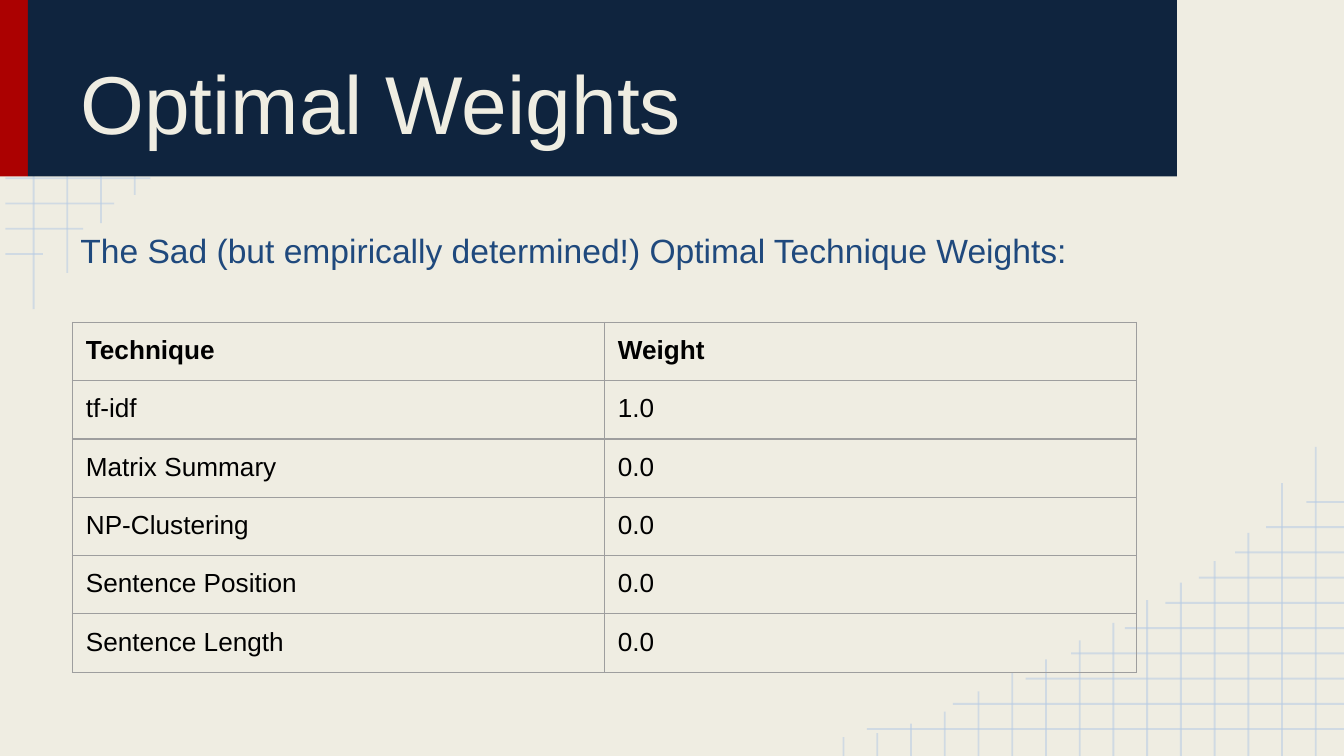
from pptx import Presentation
from pptx.dml.color import RGBColor
from pptx.enum.shapes import MSO_CONNECTOR, MSO_SHAPE
from pptx.enum.text import MSO_ANCHOR
from pptx.oxml.ns import qn
from pptx.util import Pt
from lxml.etree import SubElement

CREAM = RGBColor(0xEF, 0xED, 0xE2)
NAVY = RGBColor(0x0F, 0x24, 0x3E)
RED = RGBColor(0xAB, 0x01, 0x01)
BLUE = RGBColor(0x1F, 0x49, 0x7D)
PALE_BLUE = RGBColor(0xB7, 0xCC, 0xE4)
GRAY = RGBColor(0x9E, 0x9E, 0x9E)
BLACK = RGBColor(0, 0, 0)

SLIDE_WIDTH, SLIDE_HEIGHT = 720, 405
INSET = 7.2
GRID_LEFT, GRID_TOP = 2.9, 14.4
ROW_GAP, COLUMN_GAP = 13.52, 18.07
ROW_ENDS = [258.5, 212.4, 173.5, 149, 120.2, 98.6, 80.6, 61.2, 44.6, 23]
COLUMN_ENDS = [165.6, 146.2, 119.5, 104.4, 92.9, 83.5, 71.3, 61.9,
               51.8, 44.6, 34.6, 23.8, 17.3, 12.2, 10.1]

WEIGHTS = [
    ("Technique", "Weight"),
    ("tf-idf", "1.0"),
    ("Matrix Summary", "0.0"),
    ("NP-Clustering", "0.0"),
    ("Sentence Position", "0.0"),
    ("Sentence Length", "0.0"),
]


def write_text(frame, text, size, color, bold=False):
    run = frame.paragraphs[0].add_run()
    run.text = text
    run.font.name = "Arial"
    run.font.size = Pt(size)
    run.font.bold = bold
    run.font.color.rgb = color


def add_text(slide, left, top, width, height, text, anchor=MSO_ANCHOR.TOP,
             inset_top=INSET, **style):
    frame = slide.shapes.add_textbox(
        Pt(left), Pt(top), Pt(width), Pt(height)).text_frame
    frame.word_wrap = True
    frame.vertical_anchor = anchor
    frame.margin_left = frame.margin_right = frame.margin_bottom = Pt(INSET)
    frame.margin_top = Pt(inset_top)
    write_text(frame, text, **style)


def add_band(slide, left, width, color):
    band = slide.shapes.add_shape(
        MSO_SHAPE.RECTANGLE, Pt(left), Pt(-0.5), Pt(width), Pt(95))
    band.shadow.inherit = False
    band.fill.solid()
    band.fill.fore_color.rgb = color
    band.line.fill.background()


def add_grid_line(slide, start, end):
    grid_line = slide.shapes.add_connector(
        MSO_CONNECTOR.STRAIGHT, *map(Pt, start + end))
    grid_line.line.width = Pt(1)
    grid_line.line.color.rgb = PALE_BLUE
    properties = grid_line._element.spPr
    color = properties.find(".//" + qn("a:srgbClr"))
    SubElement(color, qn("a:alpha"), val="54000")
    SubElement(properties, qn("a:effectLst"))


def add_corner_grid(slide, place):
    for index, end in enumerate(ROW_ENDS):
        y = GRID_TOP + index * ROW_GAP
        add_grid_line(slide, place(GRID_LEFT, y), place(end, y))
    for index, end in enumerate(COLUMN_ENDS):
        x = 18 + index * COLUMN_GAP
        add_grid_line(slide, place(x, end), place(x, 0))


def add_cell_borders(cell):
    properties = cell._tc.get_or_add_tcPr()
    for position, side in enumerate(("a:lnL", "a:lnR", "a:lnT", "a:lnB")):
        border = properties.makeelement(qn(side), {"w": str(Pt(0.75))})
        fill = SubElement(border, qn("a:solidFill"))
        SubElement(fill, qn("a:srgbClr"), val=str(GRAY))
        properties.insert(position, border)


def add_weight_table(slide, left, top, column_width, row_height):
    table = slide.shapes.add_table(
        len(WEIGHTS), 2, Pt(left), Pt(top),
        Pt(2 * column_width), Pt(len(WEIGHTS) * row_height)).table
    table.horz_banding = False
    for row_index, row in enumerate(WEIGHTS):
        for column_index, text in enumerate(row):
            cell = table.cell(row_index, column_index)
            cell.fill.background()
            cell.margin_left = cell.margin_right = Pt(INSET)
            cell.margin_top = cell.margin_bottom = Pt(INSET)
            write_text(cell.text_frame, text, size=14, color=BLACK,
                       bold=row_index == 0)
            add_cell_borders(cell)


def main():
    presentation = Presentation()
    presentation.slide_width = Pt(SLIDE_WIDTH)
    presentation.slide_height = Pt(SLIDE_HEIGHT)
    slide = presentation.slides.add_slide(presentation.slide_layouts[6])
    slide.background.fill.solid()
    slide.background.fill.fore_color.rgb = CREAM

    add_corner_grid(slide, lambda x, y: (x, y))
    add_corner_grid(slide, lambda x, y: (
        SLIDE_WIDTH + GRID_LEFT - x, SLIDE_HEIGHT - y))
    add_band(slide, 0, 15, RED)
    add_band(slide, 15, 615.5, NAVY)
    add_text(slide, 36, 8, 576, 80, "Optimal Weights",
             anchor=MSO_ANCHOR.BOTTOM, size=44, color=CREAM)
    add_text(slide, 36, 100.8, 648, 286,
             "The Sad (but empirically determined!) Optimal Technique Weights:",
             inset_top=30.5, size=18, color=BLUE)
    add_weight_table(slide, 38.8, 172.7, 285, 30.1)
    presentation.save("out.pptx")


main()
